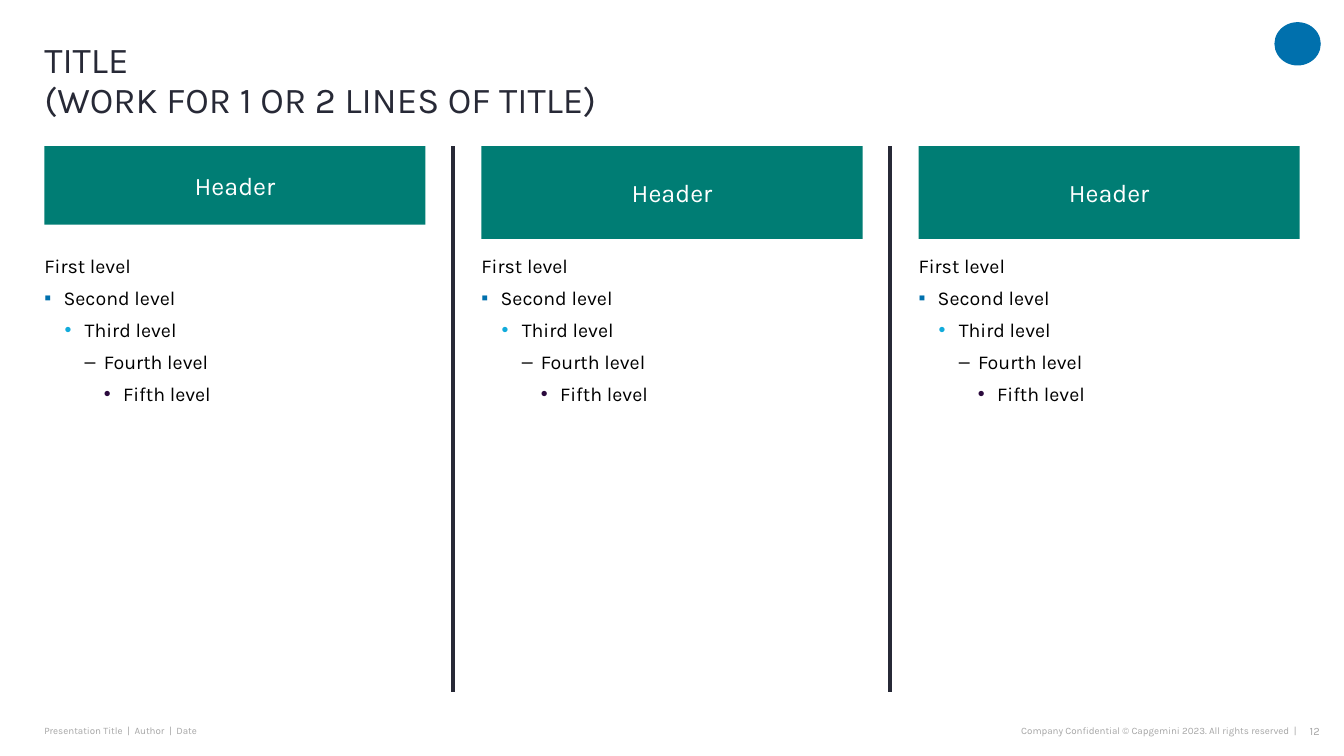
from lxml import etree
from pptx import Presentation
from pptx.dml.color import RGBColor
from pptx.enum import shapes, text
from pptx.oxml import ns
from pptx.util import Inches, Pt

# Content
TITLE = "TITLE\n(WORK FOR 1 OR 2 LINES OF TITLE)"
COLUMNS = [("Header", 0.78), ("Header", 0.92), ("Header", 0.92)]  # text, header height
LEVELS = [  # text, left margin, hanging indent, bullet, bullet colour
    ("First level", 0, 0, None, None),
    ("Second level", 0.19, 0.19, "▪", "0070AD"),
    ("Third level", 0.4, 0.2, "•", "12ABDB"),
    ("Fourth level", 0.59, 0.19, "–", "000000"),
    ("Fifth level", 0.78, 0.19, "•", "2B0A3D"),
]
LEFT, MIDDLE, RIGHT = text.PP_ALIGN.LEFT, text.PP_ALIGN.CENTER, text.PP_ALIGN.RIGHT
FOOTER = [  # text, left, width, size, alignment
    ("Presentation Title  |  Author  |  Date", 0.44, 3.73, 7, LEFT),
    ("Company Confidential © Capgemini 2023. All rights reserved  |", 7.9, 4.96, 7, RIGHT),
    ("12", 12.84, 0.25, 8, RIGHT),
]

# Layout
FIRST_LEFT, LAST_LEFT, COLUMN_WIDTH = 0.44, 9.11, 3.78
PITCH = (LAST_LEFT - FIRST_LEFT) / (len(COLUMNS) - 1)
HEADER_TOP, BODY_TOP, BODY_HEIGHT = 1.45, 2.52, 4.46
DIVIDER_GAP, DIVIDER_BOTTOM = 0.28, 6.87
DARK, TEAL, GREY = "272936", "007D74", "A6A6A6"

presentation = Presentation()
presentation.slide_width, presentation.slide_height = Inches(13.33), Inches(7.5)
slide = presentation.slides.add_slide(presentation.slide_layouts[6])


def colour(value):
    return RGBColor.from_string(value)


def box(left, top, width, height):
    return slide.shapes.add_textbox(*map(Inches, (left, top, width, height)))


def filled(kind, left, top, width, height, fill):
    shape = slide.shapes.add_shape(kind, *map(Inches, (left, top, width, height)))
    shape.shadow.inherit = False
    shape.fill.solid()
    shape.fill.fore_color.rgb = colour(fill)
    shape.line.fill.background()
    return shape


def write(shape, lines, size, font_colour, anchor, **paragraph_format):
    frame = shape.text_frame
    frame_format = {"word_wrap": True, "vertical_anchor": anchor}
    frame_format.update({f"margin_{side}": 0 for side in ("left", "top", "right", "bottom")})
    for name, value in frame_format.items():
        setattr(frame, name, value)
    for index, line in enumerate(lines):
        paragraph = frame.add_paragraph() if index else frame.paragraphs[0]
        paragraph.text = line
        for name, value in paragraph_format.items():
            setattr(paragraph, name, value)
        for run in paragraph.runs:
            for name, value in {"name": "Karla", "size": Pt(size)}.items():
                setattr(run.font, name, value)
            run.font.color.rgb = colour(font_colour)
    return frame.paragraphs


def add_bullet(paragraph, margin, hanging, bullet, bullet_colour):
    properties = paragraph._p.get_or_add_pPr()
    properties.set("marL", str(Inches(margin)))
    properties.set("indent", str(-Inches(hanging)))
    holder = etree.SubElement(properties, ns.qn("a:buClr"))
    etree.SubElement(holder, ns.qn("a:srgbClr"), val=bullet_colour)
    etree.SubElement(properties, ns.qn("a:buFont"), typeface="Arial")
    etree.SubElement(properties, ns.qn("a:buChar"), char=bullet)


# Corner mark and footer
filled(shapes.MSO_SHAPE.OVAL, 12.64, 0.22, 0.46, 0.43, "0070AD")
for words, left, width, size, alignment in FOOTER:
    write(box(left, 7.13, width, 0.24), [words], size, GREY,
          text.MSO_ANCHOR.MIDDLE, alignment=alignment)

# Title
write(box(FIRST_LEFT, 0.42, 11.97, 0.78), [TITLE], 26, DARK,
      text.MSO_ANCHOR.BOTTOM, line_spacing=0.9)

# Columns with dividers between them
for number, (header, header_height) in enumerate(COLUMNS):
    left = FIRST_LEFT + number * PITCH
    header_box = filled(shapes.MSO_SHAPE.RECTANGLE, left, HEADER_TOP,
                        COLUMN_WIDTH, header_height, TEAL)
    write(header_box, [header], 18, "FFFFFF", text.MSO_ANCHOR.MIDDLE,
          alignment=MIDDLE, space_after=Pt(6))
    paragraphs = write(box(left, BODY_TOP, COLUMN_WIDTH, BODY_HEIGHT),
                       [level[0] for level in LEVELS], 14, "000000",
                       text.MSO_ANCHOR.TOP, space_after=Pt(6))
    for depth, (paragraph, level) in enumerate(zip(paragraphs, LEVELS)):
        paragraph.level = depth
        if level[3]:
            add_bullet(paragraph, *level[1:])
    if number:
        x = Inches(left - DIVIDER_GAP)
        divider = slide.shapes.add_connector(shapes.MSO_CONNECTOR.STRAIGHT, x,
                                             Inches(HEADER_TOP), x, Inches(DIVIDER_BOTTOM))
        divider.line.color.rgb = colour(DARK)
        divider.line.width = Pt(3)
        etree.SubElement(divider._element.spPr, ns.qn("a:effectLst"))

presentation.save("out.pptx")
